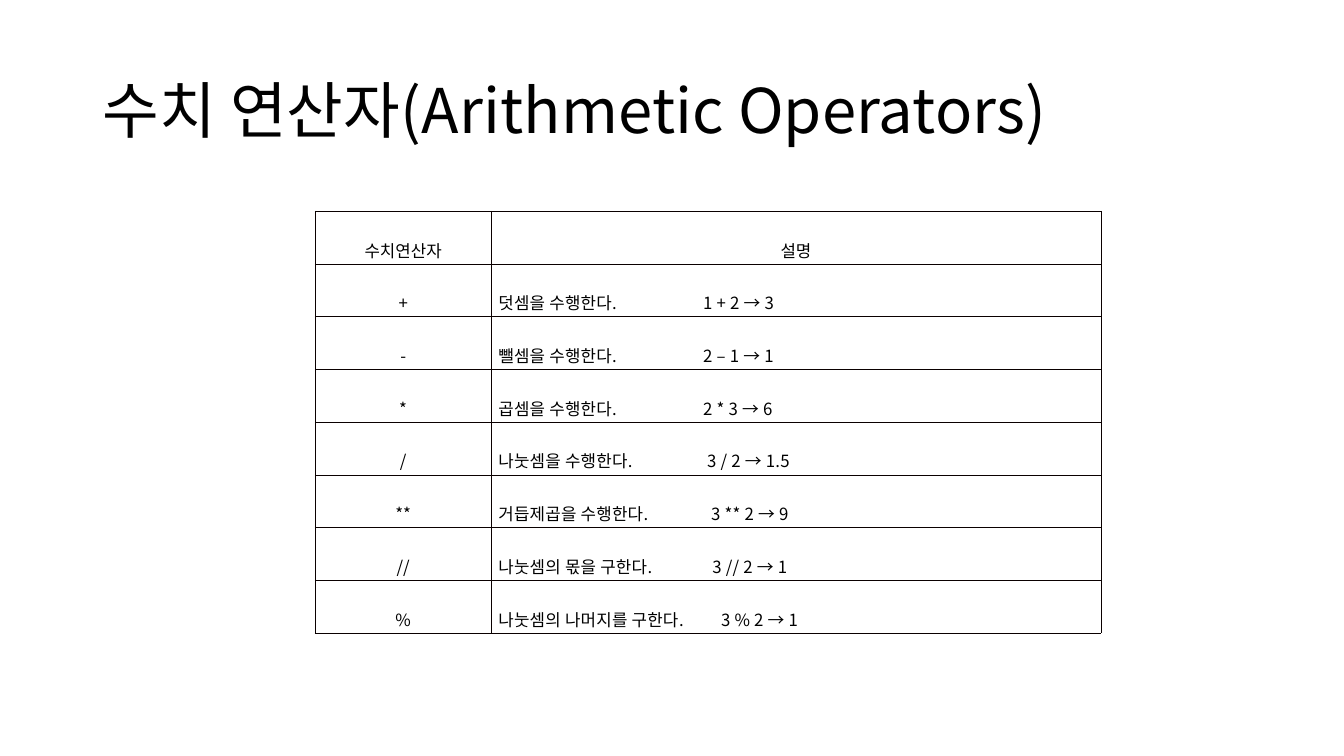
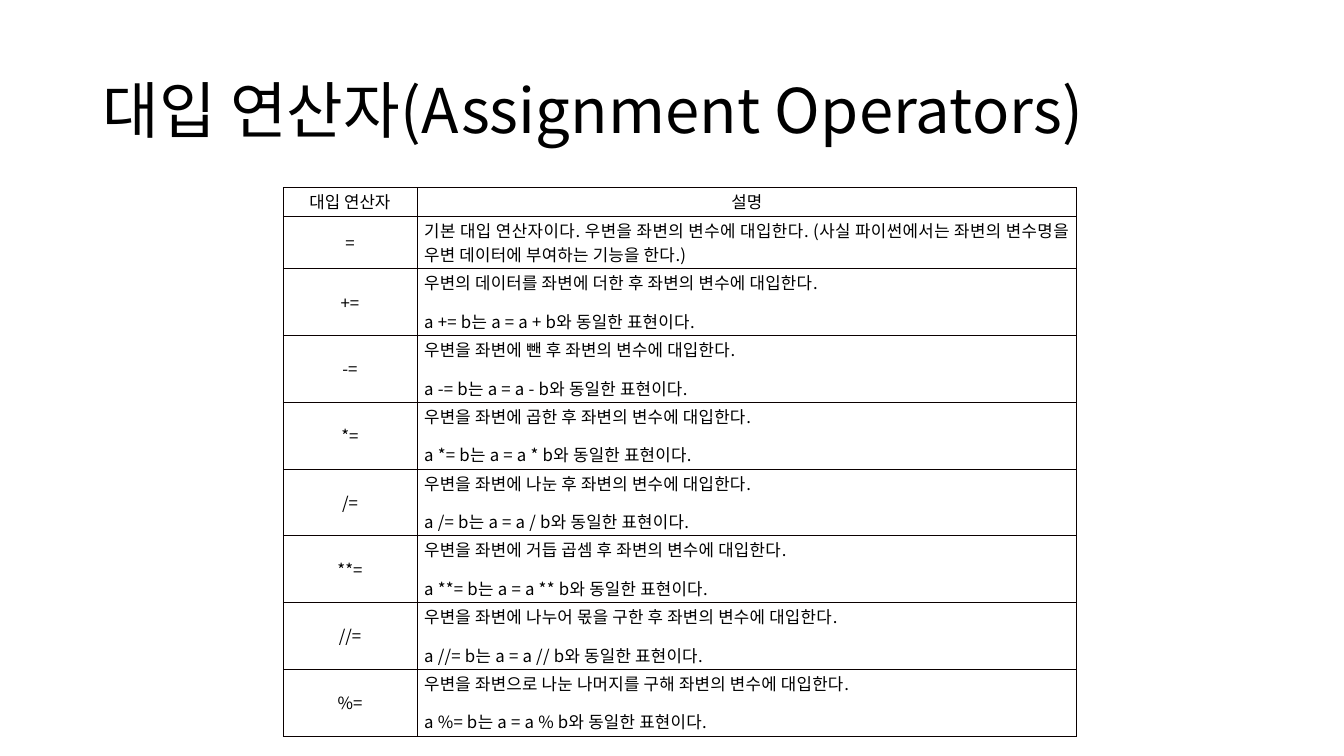
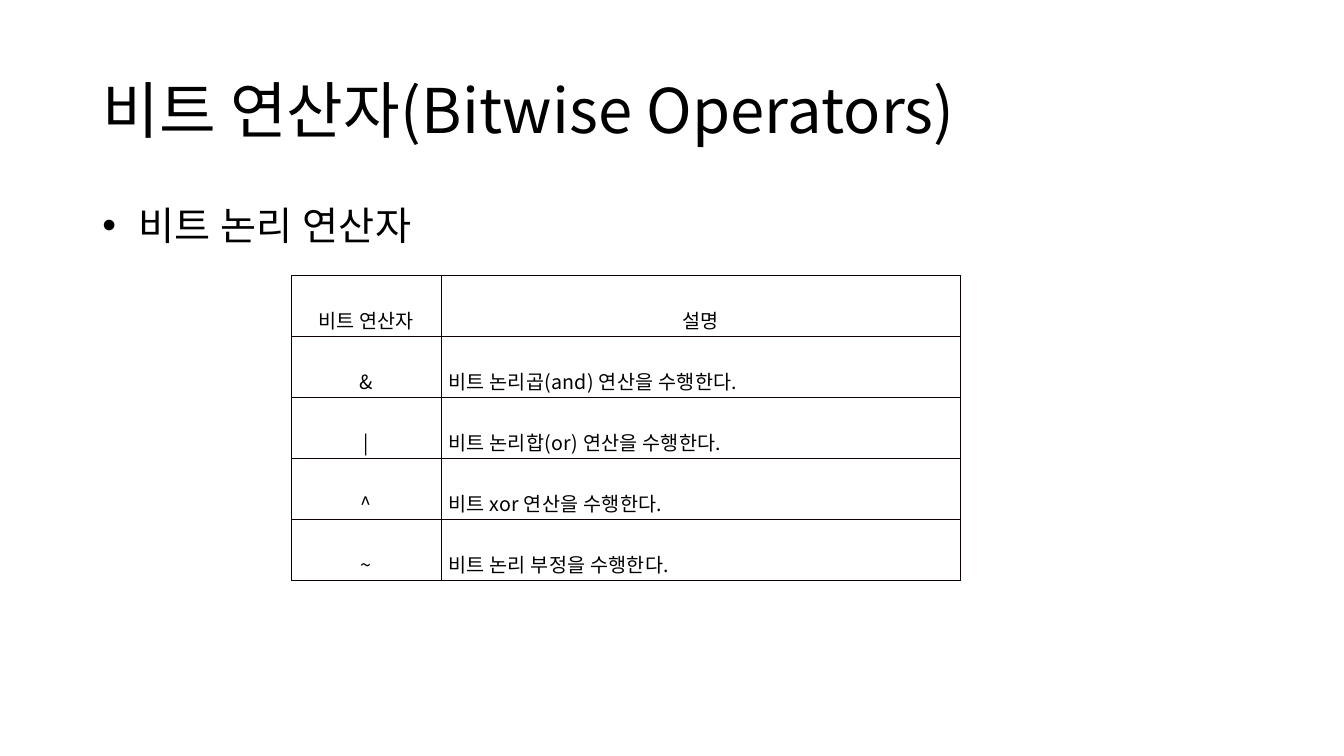
from lxml.etree import SubElement
from pptx import Presentation
from pptx.dml.color import RGBColor
from pptx.enum.text import MSO_ANCHOR, MSO_AUTO_SIZE, PP_ALIGN
from pptx.oxml import parse_xml
from pptx.oxml.ns import nsdecls, qn
from pptx.util import Cm, Pt

FONT = "Noto Sans CJK KR"
INK, PAPER, RULE = "000000", "FFFFFF", "0A0000"
TITLE = (2.33, 1.01, 29.21, 3.69)
BODY = (2.33, 5.07, 29.21, 12.1)

# Slide contents; a third item is the tab stop of the example
MATH = [
    ("수치연산자", "설명"),
    ("+", "덧셈을 수행한다.\t1 + 2 → 3", 5.16),
    ("-", "뺄셈을 수행한다.\t2 – 1 → 1", 5.16),
    ("*", "곱셈을 수행한다.\t2 * 3 → 6", 5.16),
    ("/", "나눗셈을 수행한다.\t3 / 2 → 1.5", 5.26),
    ("**", "거듭제곱을 수행한다.\t3 ** 2 → 9", 5.36),
    ("//", "나눗셈의 몫을 구한다.\t3 // 2 → 1", 5.39),
    ("%", "나눗셈의 나머지를 구한다.\t3 % 2 → 1", 5.61),
]
STEPS = [
    ("+", "우변의 데이터를 좌변에 더한 후"),
    ("-", "우변을 좌변에 뺀 후"),
    ("*", "우변을 좌변에 곱한 후"),
    ("/", "우변을 좌변에 나눈 후"),
    ("**", "우변을 좌변에 거듭 곱셈 후"),
    ("//", "우변을 좌변에 나누어 몫을 구한 후"),
    ("%", "우변을 좌변으로 나눈 나머지를 구해"),
]
ASSIGN = [
    ("대입 연산자", "설명"),
    ("=", "기본 대입 연산자이다. 우변을 좌변의 변수에 대입한다. "
          "(사실 파이썬에서는 좌변의 변수명을 우변 데이터에 부여하는 기능을 한다.)"),
] + [
    (f"{op}=", f"{step} 좌변의 변수에 대입한다.\n"
               f"a {op}= b는 a = a {op} b와 동일한 표현이다.")
    for op, step in STEPS
]
BITS = [
    ("비트 연산자", "설명"),
    ("&", "비트 논리곱(and) 연산을 수행한다."),
    ("|", "비트 논리합(or) 연산을 수행한다."),
    ("^", "비트 xor 연산을 수행한다."),
    ("~", "비트 논리 부정을 수행한다."),
]


def hue(code):
    return RGBColor.from_string(code)


def place(shape, box):
    shape.left, shape.top, shape.width, shape.height = map(Cm, box)


def write(para, text, size, track=0.0):
    """Add one run; track is the letter spacing in points."""
    run = para.add_run()
    run.text = text
    run.font.name = FONT
    run.font.size = Pt(size)
    run.font.color.rgb = hue(INK)
    props = run.font._element
    SubElement(props, qn("a:ea"), typeface=FONT)
    if track:
        props.set("spc", str(round(track * 100)))


def set_tab(para, stop):
    tabs = SubElement(para._p.get_or_add_pPr(), qn("a:tabLst"))
    SubElement(tabs, qn("a:tab"), pos=str(Cm(stop)), algn="l")


def edge(cell):
    """Rule all four sides of a cell."""
    props = cell._tc.get_or_add_tcPr()
    for spot, side in enumerate("LRTB"):
        props.insert(spot, parse_xml(
            f'<a:ln{side} {nsdecls("a")} w="{Pt(0.28)}"><a:solidFill>'
            f'<a:srgbClr val="{RULE}"/></a:solidFill></a:ln{side}>'))


def fill_cell(cell, text, note, size, space, stops):
    cell.fill.solid()
    cell.fill.fore_color.rgb = hue(PAPER)
    edge(cell)
    cell.vertical_anchor = MSO_ANCHOR.MIDDLE
    cell.margin_left = cell.margin_right = Cm(0.18)
    cell.margin_top = cell.margin_bottom = Cm(0.05)
    frame = cell.text_frame
    for spot, line in enumerate(text.split("\n")):
        para = frame.add_paragraph() if spot else frame.paragraphs[0]
        para.alignment = PP_ALIGN.JUSTIFY if note else PP_ALIGN.CENTER
        para.line_spacing = space
        para.space_after = Pt(10)
        if note:
            for stop in stops:
                set_tab(para, stop)
        write(para, line, size, 0.17 if note else 0)


def add_grid(slide, spot, cols, highs, rows, size=12, space=1.0):
    """Operator table: centred header and symbols, justified notes."""
    box = (*spot, sum(cols), sum(highs))
    table = slide.shapes.add_table(len(rows), len(cols), *map(Cm, box)).table
    table.first_row = table.horz_banding = False
    for col, wide in zip(table.columns, cols):
        col.width = Cm(wide)
    for r, (high, (sign, text, *stops)) in enumerate(zip(highs, rows)):
        table.rows[r].height = Cm(high)
        fill_cell(table.cell(r, 0), sign, False, size, space, stops)
        fill_cell(table.cell(r, 1), text, r > 0, size, space, stops)


def add_point(slide, box, text):
    """Bulleted line above a table."""
    frame = slide.shapes.add_textbox(*map(Cm, box)).text_frame
    frame.word_wrap = True
    para = frame.paragraphs[0]
    para.line_spacing = 0.9
    para.space_before = Pt(10)
    props = para._p.get_or_add_pPr()
    props.set("marL", str(Cm(0.91)))
    props.set("indent", str(-Cm(0.91)))
    SubElement(props, qn("a:buFont"), typeface="Arial")
    SubElement(props, qn("a:buChar"), char="•")
    write(para, text, 28, 0.3)


def add_page(deck, text):
    """White slide with a left-aligned title."""
    slide = deck.slides.add_slide(deck.slide_layouts[5])
    slide.background.fill.solid()
    slide.background.fill.fore_color.rgb = hue(PAPER)
    title = slide.shapes.title
    place(title, TITLE)
    frame = title.text_frame
    frame.auto_size = MSO_AUTO_SIZE.NONE
    frame.vertical_anchor = MSO_ANCHOR.MIDDLE
    para = frame.paragraphs[0]
    para.alignment = PP_ALIGN.LEFT
    para.line_spacing = 0.9
    write(para, text, 44, 0.1)
    return slide


deck = Presentation()
deck.slide_width, deck.slide_height = Cm(33.87), Cm(19.05)

# Arithmetic
page = add_page(deck, "수치 연산자(Arithmetic Operators)")
add_grid(page, (7.94, 5.32), (4.44, 15.36), [1.3] * len(MATH), MATH, space=2.0)

# Assignment
page = add_page(deck, "대입 연산자(Assignment Operators)")
add_grid(page, (7.13, 4.72), (3.38, 16.62),
         [0.71, 1.09] + [1.42] * len(STEPS), ASSIGN)

# Bitwise
page = add_page(deck, "비트 연산자(Bitwise Operators)")
add_point(page, BODY, "비트 논리 연산자")
add_grid(page, (7.34, 6.93), (3.78, 13.08), [1.54] * len(BITS), BITS,
         size=14, space=2.0)

deck.save("out.pptx")
